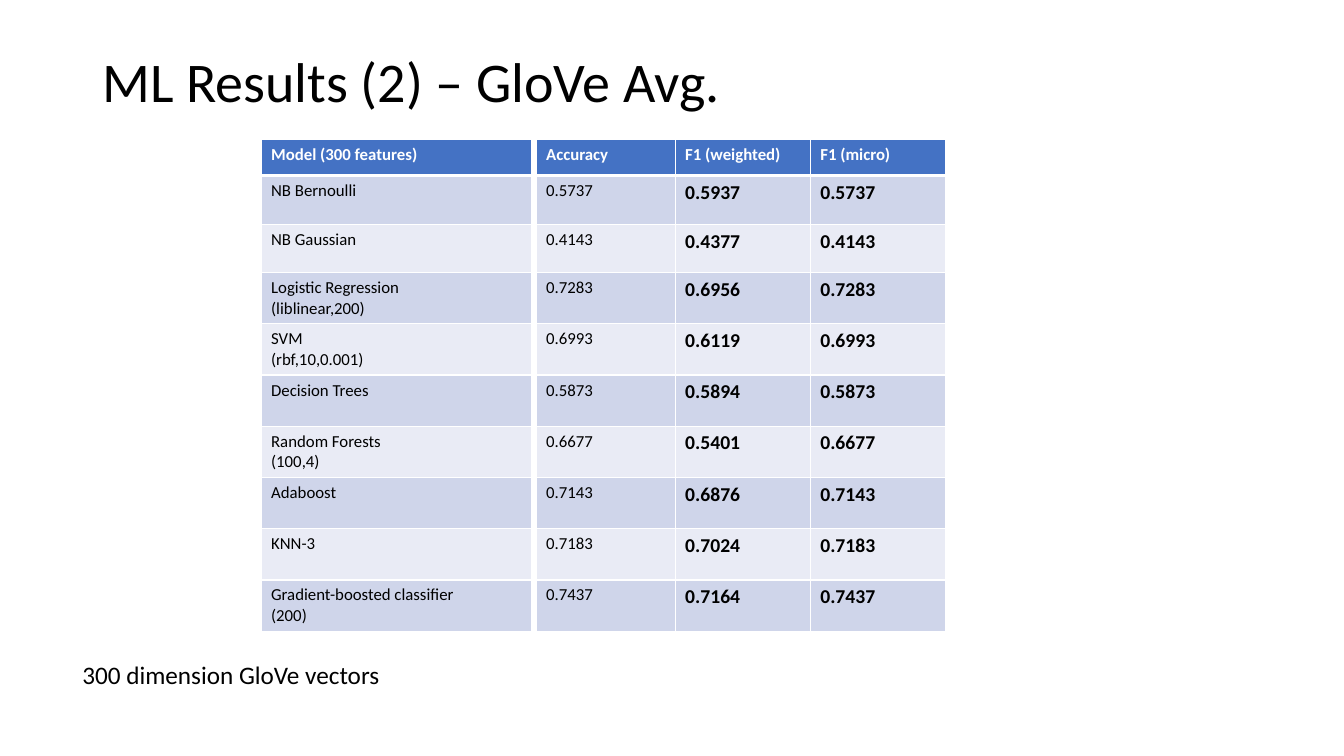
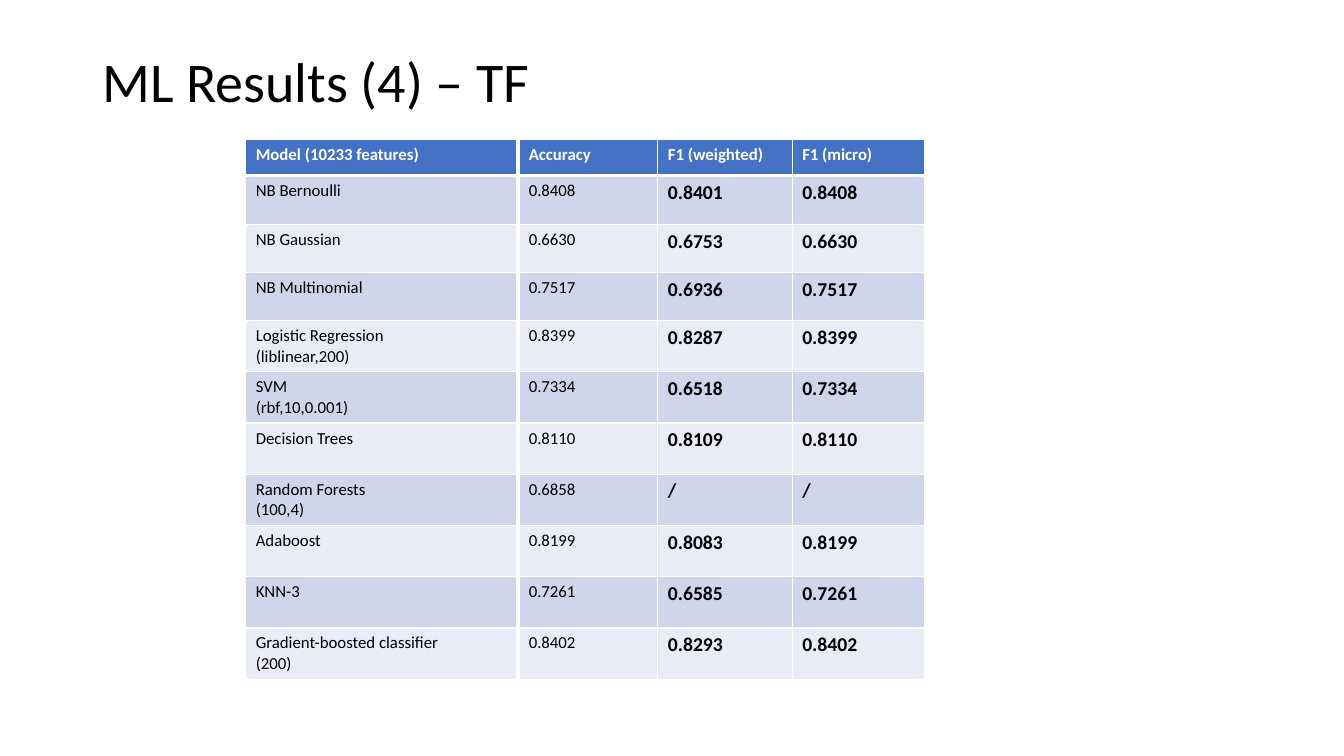
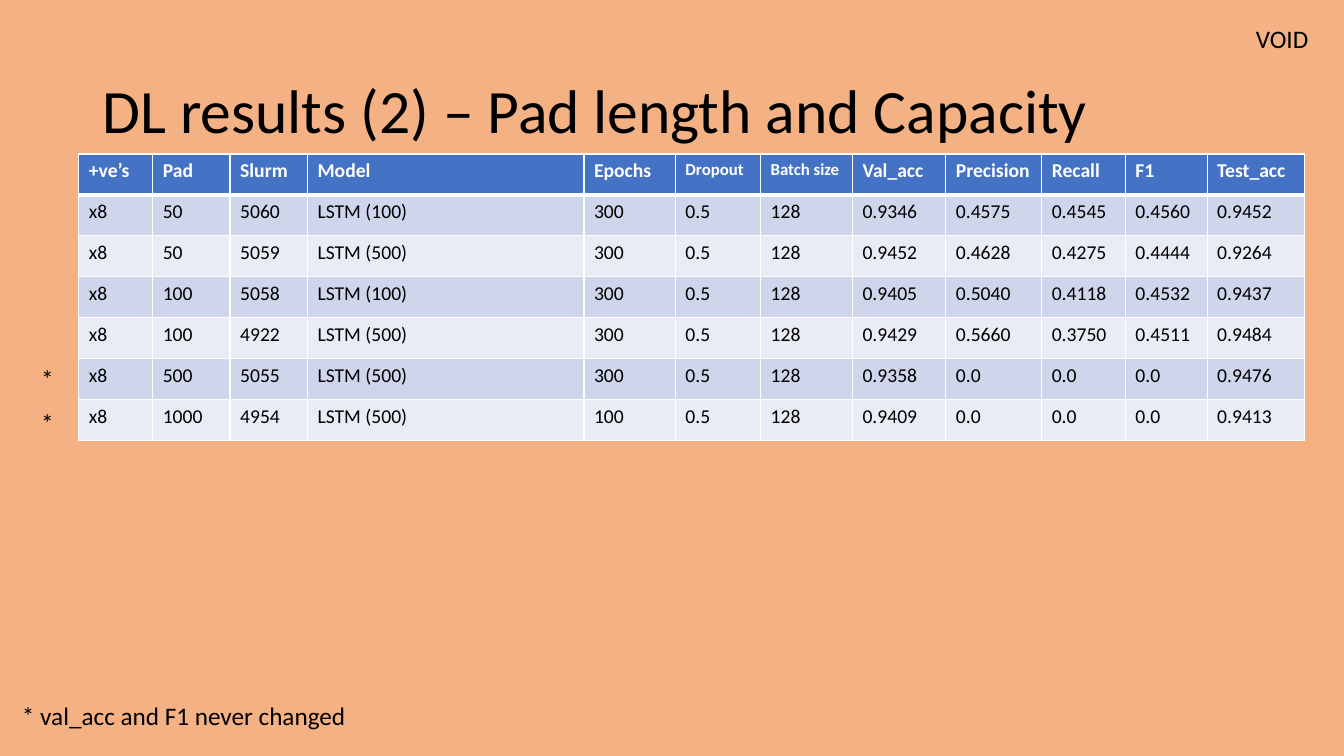
from lxml import etree
from pptx import Presentation
from pptx.dml.color import RGBColor
from pptx.enum import shapes, text
from pptx.oxml import ns
from pptx.util import Pt

HUES = {"ink": "000000", "paper": "FFFFFF", "head": "4472C4",
        "odd": "CFD5EA", "even": "E9EBF5", "void": "F4B183"}


def hue(name):
    return RGBColor.from_string(HUES[name])


class Deck:
    font = "Calibri"

    def __init__(self):
        self.prs = Presentation()
        self.prs.slide_width, self.prs.slide_height = Pt(960), Pt(540)
        self.slide = None

    def start(self, title, top=8, size=40, back="paper"):
        """New slide with background and title."""
        self.slide = self.prs.slides.add_slide(self.prs.slide_layouts[5])
        fill = self.slide.background.fill
        fill.solid()
        fill.fore_color.rgb = hue(back)
        box = self.slide.shapes.title
        box.left, box.top, box.width, box.height = Pt(66), Pt(top), Pt(828), Pt(104.4)
        frame = box.text_frame
        frame.vertical_anchor = text.MSO_ANCHOR.MIDDLE
        self.put(frame, title, size)
        frame.paragraphs[0].line_spacing = 0.9

    def put(self, frame, words, size, ink="ink", bold=False):
        """One paragraph per line of words."""
        for i, line in enumerate(words.split("\n")):
            par = frame.add_paragraph() if i else frame.paragraphs[0]
            par.alignment = text.PP_ALIGN.LEFT
            run = par.add_run()
            run.text = line
            run.font.name, run.font.size, run.font.bold = self.font, Pt(size), bold
            run.font.color.rgb = hue(ink)

    def note(self, words, left, top, width, wrap=False):
        box = self.slide.shapes.add_textbox(Pt(left), Pt(top), Pt(width), Pt(29))
        box.text_frame.word_wrap = wrap
        box.text_frame.auto_size = text.MSO_AUTO_SIZE.SHAPE_TO_FIT_TEXT
        self.put(box.text_frame, words, 18)

    def rule(self, x, top, foot):
        """Thick white vertical line."""
        line = self.slide.shapes.add_connector(
            shapes.MSO_CONNECTOR.STRAIGHT, Pt(x), Pt(top), Pt(x), Pt(foot))
        line.line.color.rgb = hue("paper")
        line.line.width = Pt(3)
        etree.SubElement(line._element.spPr, ns.qn("a:effectLst"))

    def edge(self, cell, side, width):
        props = cell._tc.get_or_add_tcPr()
        line = etree.SubElement(props, ns.qn("a:ln" + side), w=str(Pt(width)))
        fill = etree.SubElement(line, ns.qn("a:solidFill"))
        etree.SubElement(fill, ns.qn("a:srgbClr"), val=HUES["paper"])

    def table(self, left, top, cols, rows, data, heads, sizes, bold=()):
        """Banded table; heads and sizes give text sizes by column."""
        grid = self.slide.shapes.add_table(
            len(rows), len(cols), Pt(left), Pt(top), Pt(sum(cols)), Pt(sum(rows))).table
        for col, width in zip(grid.columns, cols):
            col.width = Pt(width)
        for r, (height, items) in enumerate(zip(rows, data)):
            grid.rows[r].height = Pt(height)
            for c, words in enumerate(items):
                cell = grid.cell(r, c)
                for side in "LRTB":
                    thick = (r, side) in ((0, "B"), (1, "T"))
                    self.edge(cell, side, 3 if thick else 1)
                cell.fill.solid()
                band = "head" if r == 0 else "odd" if r % 2 else "even"
                cell.fill.fore_color.rgb = hue(band)
                if r == 0:
                    self.put(cell.text_frame, words, heads[c], "paper", True)
                else:
                    self.put(cell.text_frame, words, sizes[c], bold=c in bold)

    def scores(self, left, cols, rows, count, data):
        """Table of classifier scores, F1 columns stressed."""
        head = (f"Model ({count} features)", "Accuracy", "F1 (weighted)", "F1 (micro)")
        self.table(left, 99.4, cols, rows, [head, *data],
                   [12] * 4, [12, 12, 14, 14], bold=(2, 3))


# Classifier names used in both score tables
BERN, GAUSS, MULTI = "NB Bernoulli", "NB Gaussian", "NB Multinomial"
LOGIT, SVM = "Logistic Regression\n(liblinear,200)", "SVM\n(rbf,10,0.001)"
TREE, FOREST = "Decision Trees", "Random Forests\n(100,4)"
ADA, KNN, BOOST = "Adaboost", "KNN-3", "Gradient-boosted classifier\n(200)"

GLOVE = [
    (BERN, "0.5737", "0.5937", "0.5737"),
    (GAUSS, "0.4143", "0.4377", "0.4143"),
    (LOGIT, "0.7283", "0.6956", "0.7283"),
    (SVM, "0.6993", "0.6119", "0.6993"),
    (TREE, "0.5873", "0.5894", "0.5873"),
    (FOREST, "0.6677", "0.5401", "0.6677"),
    (ADA, "0.7143", "0.6876", "0.7143"),
    (KNN, "0.7183", "0.7024", "0.7183"),
    (BOOST, "0.7437", "0.7164", "0.7437"),
]
TF = [
    (BERN, "0.8408", "0.8401", "0.8408"),
    (GAUSS, "0.6630", "0.6753", "0.6630"),
    (MULTI, "0.7517", "0.6936", "0.7517"),
    (LOGIT, "0.8399", "0.8287", "0.8399"),
    (SVM, "0.7334", "0.6518", "0.7334"),
    (TREE, "0.8110", "0.8109", "0.8110"),
    (FOREST, "0.6858", "/", "/"),
    (ADA, "0.8199", "0.8083", "0.8199"),
    (KNN, "0.7261", "0.6585", "0.7261"),
    (BOOST, "0.8402", "0.8293", "0.8402"),
]

# Pad, job, units, epochs and the five measures of each network
RUNS = [
    ("50", "5060", 100, "300", "0.9346", "0.4575", "0.4545", "0.4560", "0.9452"),
    ("50", "5059", 500, "300", "0.9452", "0.4628", "0.4275", "0.4444", "0.9264"),
    ("100", "5058", 100, "300", "0.9405", "0.5040", "0.4118", "0.4532", "0.9437"),
    ("100", "4922", 500, "300", "0.9429", "0.5660", "0.3750", "0.4511", "0.9484"),
    ("500", "5055", 500, "300", "0.9358", "0.0", "0.0", "0.0", "0.9476"),
    ("1000", "4954", 500, "100", "0.9409", "0.0", "0.0", "0.0", "0.9413"),
]
NAMES = ("+ve’s", "Pad", "Slurm", "Model", "Epochs", "Dropout", "Batch size",
         "Val_acc", "Precision", "Recall", "F1", "Test_acc")


def main():
    deck = Deck()

    # Averaged word vectors
    deck.start("ML Results (2) – GloVe Avg.")
    deck.scores(186.5, [196.4, 99.4, 96.5, 96.5], [26, 35, 34.3] + [36.6] * 7, 300, GLOVE)
    deck.note("300 dimension GloVe vectors", 51.8, 467.3, 229)
    deck.rule(381, 99.4, 461.5)

    # Term frequency
    deck.start("ML Results (4) – TF")
    deck.scores(175.5, [195, 99.4, 96, 96], [26, 35, 34.3, 34.3] + [36.6] * 7, 10233, TF)
    for x in (661.7, 370):
        deck.rule(x, 99.4, 495.4)

    # Pad length and capacity
    deck.start("DL results (2) – Pad length and Capacity", 28.8, 44, "void")
    rows = [("x8", pad, job, f"LSTM ({units})", epochs, "0.5", "128", *marks)
            for pad, job, units, epochs, *marks in RUNS]
    cols = [52.8, 55.3, 55.3, 197.5, 65.3, 60.9, 65.6, 66.7, 68.5, 59.8, 58.4, 69.3]
    heads = [12 if name in ("Dropout", "Batch size") else 14 for name in NAMES]
    deck.table(56.3, 110, cols, [29.25] * 7, [NAMES, *rows], heads, [14] * 12)
    for top in (287.3, 255.6):
        deck.note("*", 22.3, top, 33.8, wrap=True)
    deck.note("* val_acc and F1 never changed", 8.6, 496.8, 248.4)
    deck.note("VOID", 890, 13, 52.5)

    deck.prs.save("out.pptx")


if __name__ == "__main__":
    main()
